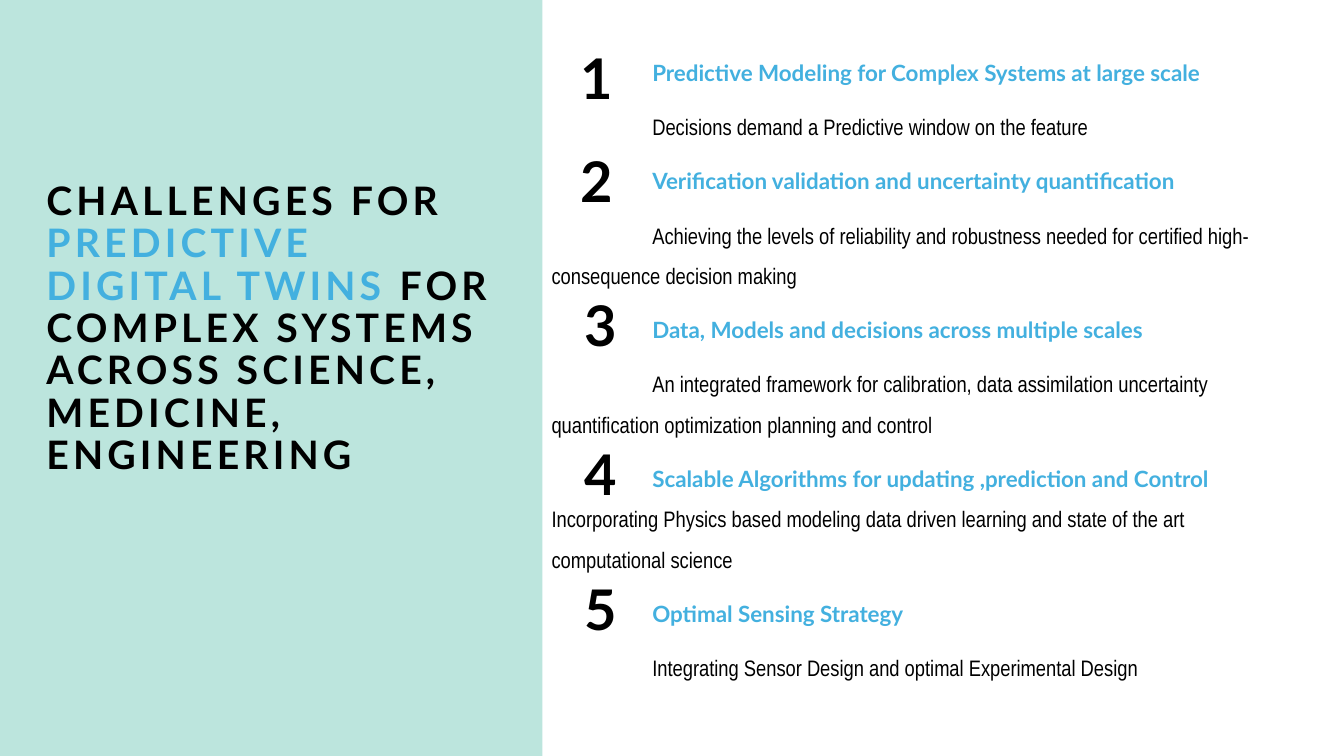
from dataclasses import dataclass

from pptx import Presentation
from pptx.dml.color import RGBColor
from pptx.enum import shapes, text
from pptx.oxml.ns import qn
from pptx.util import Inches, Pt
from lxml import etree

# Content
TITLE = [
    ("CHALLENGES FOR ", "ink"),
    ("PREDICTIVE DIGITAL TWINS ", "accent"),
    ("FOR COMPLEX SYSTEMS ACROSS SCIENCE, MEDICINE, ENGINEERING", "ink"),
]
# heading, detail, whether the detail shares the heading's paragraph
CHALLENGES = [
    ("Predictive Modeling for Complex Systems at large scale",
     "Decisions demand a Predictive window on the feature", False),
    ("Verification validation and uncertainty quantification",
     "Achieving the levels of reliability and robustness needed for "
     "certified high-consequence decision making", False),
    ("Data, Models and decisions across multiple scales",
     "An integrated framework for calibration, data assimilation uncertainty "
     "quantification optimization planning and control", False),
    ("Scalable Algorithms for updating ,prediction and Control",
     "Incorporating Physics based modeling data driven learning and state of "
     "the art computational science", True),
    ("Optimal Sensing Strategy",
     "Integrating Sensor Design and optimal Experimental Design", False),
]
NUMBER_SPOTS = [(5.56, 0.5), (5.56, 1.52), (5.6, 2.95), (5.6, 4.43), (5.6, 5.77)]
# Backdrop from back to front: colour, left, top, width, height
BACKDROP = [
    ("paper", 3.91, 0, 9.42, 7.5),
    ("paper", 5.56, 1.62, 2, 2),
    ("mint", 3.33, 0, 2.05, 7.5),
    ("mint", -0.03, 0, 2.05, 7.5),
]


@dataclass
class Theme:
    ink: RGBColor = RGBColor(0x00, 0x00, 0x00)
    accent: RGBColor = RGBColor(0x43, 0xB0, 0xDF)
    mint: RGBColor = RGBColor(0xBC, 0xE5, 0xDD)
    paper: RGBColor = RGBColor(0xFF, 0xFF, 0xFF)
    heading_font: str = "Lato"
    detail_font: str = "Arial Narrow"
    title_size: int = 28
    body_size: int = 16
    number_size: int = 40


theme = Theme()


def place(shape, left, top, width, height):
    shape.left, shape.top = Inches(left), Inches(top)
    shape.width, shape.height = Inches(width), Inches(height)


def set_frame(frame, anchor, inset=None):
    frame.word_wrap = True
    frame.auto_size = text.MSO_AUTO_SIZE.NONE
    frame.vertical_anchor = anchor
    if inset is not None:
        frame.margin_left = frame.margin_right = Inches(inset)
        frame.margin_top = frame.margin_bottom = Inches(inset)


def add_span(para, words, size, font, color, bold=True):
    span = para.add_run()
    span.text = words
    span.font.size, span.font.name, span.font.bold = Pt(size), font, bold
    span.font.color.rgb = color
    return span


def add_heading(para, words):
    add_span(para, words, theme.body_size, theme.heading_font, theme.accent)


def add_detail(para, words):
    add_span(para, words, theme.body_size, theme.detail_font, theme.ink, False)


def next_para(frame):
    """Return a plain paragraph whose first line is indented by one inch."""
    first = frame.paragraphs[0]
    para = first if not first.runs else frame.add_paragraph()
    para.line_spacing, para.space_before = 1.5, Pt(10)
    props = para._p.get_or_add_pPr()
    props.set("marL", "0")
    props.set("indent", str(Inches(1)))
    etree.SubElement(props, qn("a:buNone"))
    return para


# Page and backdrop
deck = Presentation()
deck.slide_width, deck.slide_height = Inches(13.33), Inches(7.5)
page = deck.slides.add_slide(deck.slide_layouts[1])
page.background.fill.solid()
page.background.fill.fore_color.rgb = theme.mint
for layer, (color, *spot) in enumerate(BACKDROP):
    panel = page.shapes.add_shape(shapes.MSO_SHAPE.RECTANGLE, *map(Inches, spot))
    panel.shadow.inherit = False
    panel.fill.solid()
    panel.fill.fore_color.rgb = getattr(theme, color)
    panel.line.fill.background()
    page.shapes._spTree.insert(2 + layer, panel._element)  # behind the text

# Title
title = page.shapes.title
place(title, 0.46, 1.8, 4.44, 4.2)
set_frame(title.text_frame, text.MSO_ANCHOR.TOP, 0)
para = title.text_frame.paragraphs[0]
para.alignment, para.line_spacing = text.PP_ALIGN.LEFT, 0.9
for words, color in TITLE:
    span = add_span(para, words, theme.title_size, theme.heading_font,
                    getattr(theme, color))
    span.font._element.set("spc", "300")

# Challenges
body = page.placeholders[1]
place(body, 5.47, 0.45, 7.53, 4.13)
set_frame(body.text_frame, text.MSO_ANCHOR.TOP, 0)
body.text_frame.margin_right = Inches(0.2)
for heading, detail, shared in CHALLENGES:
    para = next_para(body.text_frame)
    add_heading(para, heading)
    if shared:
        para.add_line_break()
    else:
        para = next_para(body.text_frame)
    add_detail(para, detail)

# Numbers
for number, (left, top) in enumerate(NUMBER_SPOTS, 1):
    box = page.shapes.add_textbox(Inches(left), Inches(top), Inches(0.72), Inches(0.53))
    set_frame(box.text_frame, text.MSO_ANCHOR.MIDDLE)
    para = box.text_frame.paragraphs[0]
    para.alignment = text.PP_ALIGN.CENTER
    add_span(para, str(number), theme.number_size, theme.heading_font, theme.ink)

deck.save("out.pptx")
